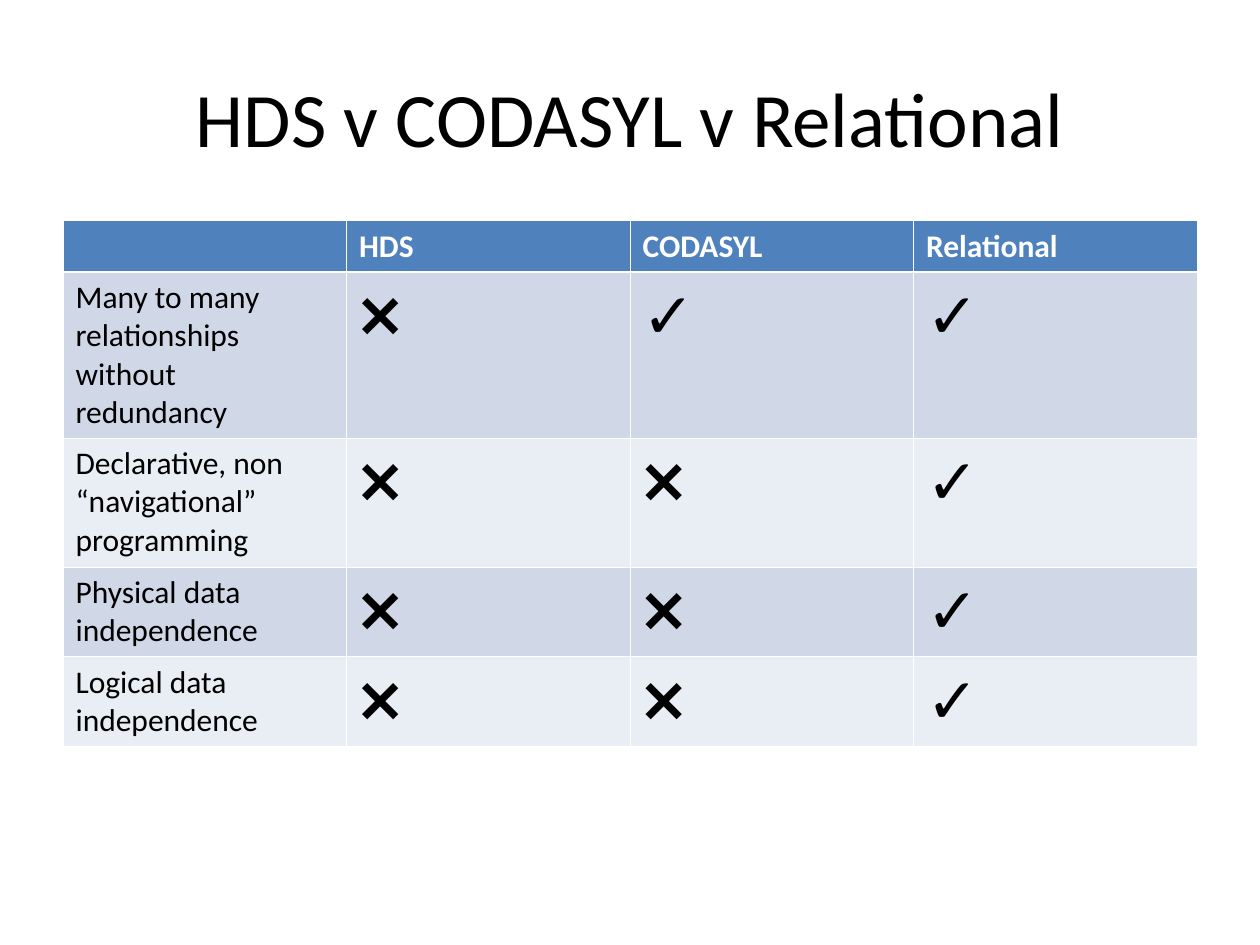
from lxml.etree import SubElement
from pptx import Presentation
from pptx.dml.color import RGBColor
from pptx.enum.text import MSO_ANCHOR as Anchor, PP_ALIGN as Align
from pptx.oxml.ns import qn
from pptx.util import Cm, Pt

FONT = "Calibri"
WHITE, BLACK, BLUE = "FFFFFF", "000000", "4F81BD"
BANDS = ["D0D8E8", "E9EDF4"]
THIN, THICK = 0.45, 1.47
NO, YES = "❌", "✓"
MARKS = [NO, YES]
HEADINGS = ["", "HDS", "CODASYL", "Relational"]
FEATURES = [
    ["Many to many relationships without redundancy", NO, YES, YES],
    ["Declarative, non “navigational” programming", NO, NO, YES],
    ["Physical data independence", NO, NO, YES],
    ["Logical data independence", NO, NO, YES],
]
ROW_HEIGHTS = [1.03, 3.35, 2.6, 1.81, 1.81]


def color(value):
    return RGBColor.from_string(value)


def write_text(frame, text, size=18, fill=BLACK, bold=False, align=Align.LEFT):
    frame.word_wrap = True
    paragraph = frame.paragraphs[0]
    paragraph.alignment = align
    font = paragraph.font
    if text:
        run = paragraph.add_run()
        run.text = text
        font = run.font
    font.name = FONT
    font.size = Pt(size)
    font.bold = bold
    font.color.rgb = color(fill)


def set_borders(cell, top=THIN, bottom=THIN):
    properties = cell._tc.get_or_add_tcPr()
    widths = {"a:lnL": THIN, "a:lnR": THIN, "a:lnT": top, "a:lnB": bottom}
    for tag, width in widths.items():
        line = SubElement(properties, qn(tag), w=str(Pt(width)))
        solid = SubElement(line, qn("a:solidFill"))
        SubElement(solid, qn("a:srgbClr"), val=WHITE)


def add_title(slide, left, top, width, height):
    shape = slide.shapes.add_textbox(Cm(left), Cm(top), Cm(width), Cm(height))
    shape.text_frame.vertical_anchor = Anchor.MIDDLE
    write_text(shape.text_frame, "HDS v CODASYL v Relational", size=44,
               align=Align.CENTER)


def add_comparison(slide, left, top, width):
    rows = [HEADINGS] + FEATURES
    shape = slide.shapes.add_table(len(rows), len(HEADINGS), Cm(left), Cm(top),
                                   Cm(width), Cm(sum(ROW_HEIGHTS)))
    table = shape.table
    for column in table.columns:
        column.width = Cm(width / len(HEADINGS))
    for index, (texts, height) in enumerate(zip(rows, ROW_HEIGHTS)):
        header = index == 0
        table.rows[index].height = Cm(height)
        for cell, text in zip(table.rows[index].cells, texts):
            set_borders(cell, top=THICK if index == 1 else THIN,
                        bottom=THICK if header else THIN)
            cell.fill.solid()
            cell.fill.fore_color.rgb = color(BLUE if header else BANDS[(index - 1) % 2])
            write_text(cell.text_frame, text, size=36 if text in MARKS else 18,
                       fill=WHITE if header else BLACK, bold=header)


def main():
    presentation = Presentation()
    presentation.slide_width = Cm(25.4)
    presentation.slide_height = Cm(19.05)
    slide = presentation.slides.add_slide(presentation.slide_layouts[6])
    add_title(slide, 1.27, 0.76, 22.86, 3.18)
    add_comparison(slide, 1.27, 4.45, 22.86)
    presentation.save("out.pptx")


if __name__ == "__main__":
    main()
